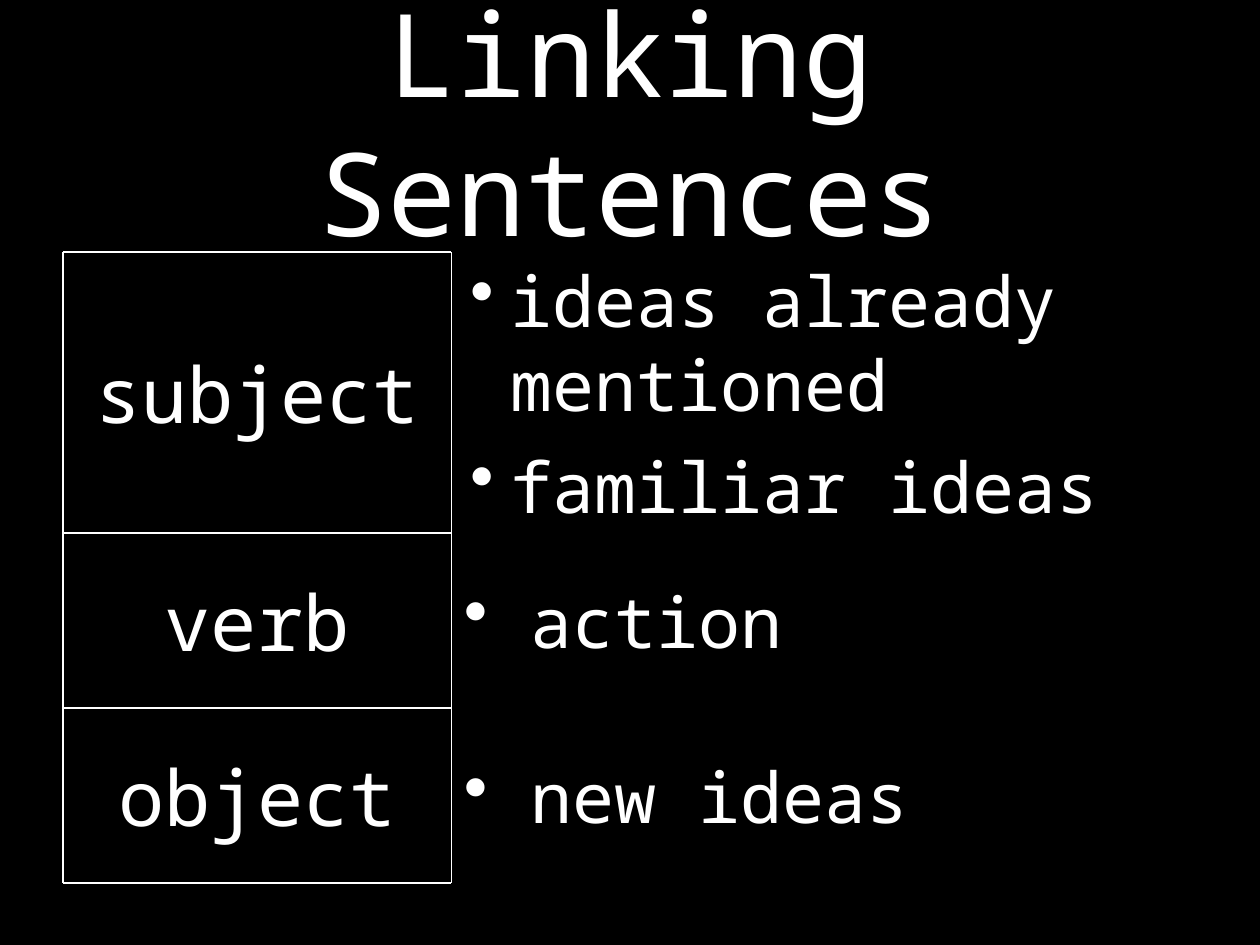
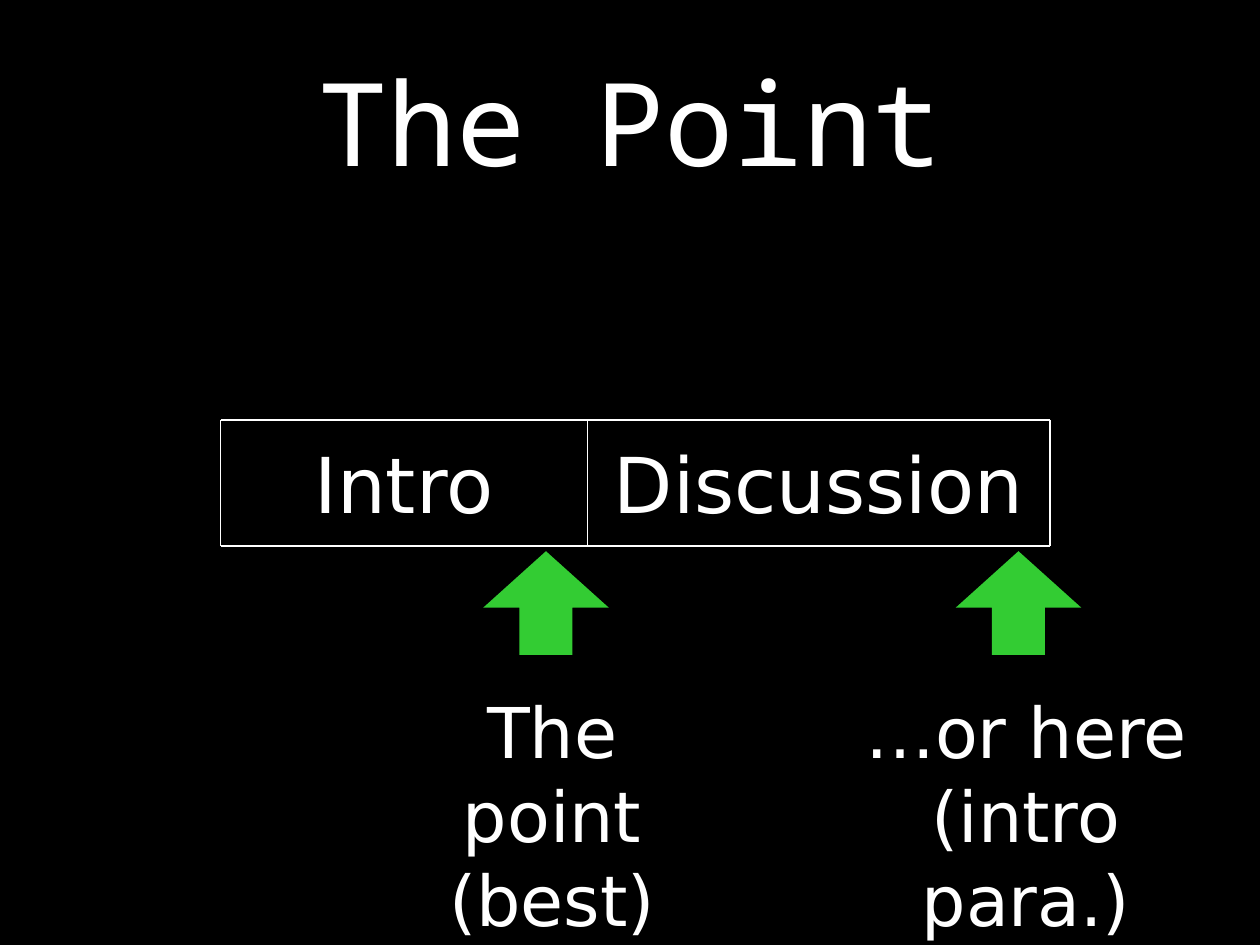
from dataclasses import dataclass
from itertools import pairwise

import pptx
import pptx.dml.color
import pptx.enum.shapes
import pptx.enum.text
import pptx.oxml
import pptx.oxml.ns
import pptx.util
from pptx.util import Pt

WHITE = pptx.dml.color.RGBColor(0xFF, 0xFF, 0xFF)
BLACK = pptx.dml.color.RGBColor(0x00, 0x00, 0x00)
GREEN = pptx.dml.color.RGBColor(0x33, 0xCC, 0x33)
MONO = "Noto Sans Mono"
SANS = "DejaVu Sans"
CENTER = pptx.enum.text.PP_ALIGN.CENTER
LEFT = pptx.enum.text.PP_ALIGN.LEFT
TOP = pptx.enum.text.MSO_ANCHOR.TOP
MIDDLE = pptx.enum.text.MSO_ANCHOR.MIDDLE
FRAME_FORMAT = {
    "word_wrap": True,
    "auto_size": pptx.enum.text.MSO_AUTO_SIZE.NONE,
    "margin_left": Pt(7.2),
    "margin_right": Pt(7.2),
    "margin_top": Pt(3.6),
    "margin_bottom": Pt(3.6),
}


@dataclass(frozen=True)
class Area:
    left: float
    top: float
    width: float
    height: float

    def lengths(self) -> list[pptx.util.Length]:
        return [Pt(v) for v in (self.left, self.top, self.width, self.height)]


@dataclass(frozen=True)
class TextStyle:
    font: str
    size: float
    space_before: float = 0
    align: int = CENTER
    anchor: int = MIDDLE
    bullet: bool = False
    indent: float = 0  # left margin of the text
    hanging: float = 0  # how far the bullet stands before the text


@dataclass(frozen=True)
class SentencePart:
    name: str
    ideas: tuple[str, ...]
    height: float
    style: TextStyle


@dataclass(frozen=True)
class PointPlace:
    arrow_left: float
    caption: Area
    lines: tuple[str, ...]


TITLE_AREA = Area(30, 24, 660, 90)
TITLE = TextStyle(MONO, 66)
PART_NAME = TextStyle(MONO, 44, 11)
IDEA = TextStyle(MONO, 40, 10, LEFT, bullet=True)
HANGING_IDEA = TextStyle(MONO, 40, 10, LEFT, bullet=True, indent=26.64, hanging=23.04)
SECTION = TextStyle(SANS, 44, 11)
CAPTION = TextStyle(SANS, 40, anchor=TOP)


def set_format(target: object, values: dict) -> None:
    for name, value in values.items():
        setattr(target, name, value)


def add_bullet(para: object, style: TextStyle) -> None:
    properties = para._p.get_or_add_pPr()
    properties.set("marL", str(Pt(style.indent)))
    properties.set("indent", str(-Pt(style.hanging)))
    bullet = pptx.oxml.ns.qn("a:buChar")
    properties.makeelement(bullet)
    properties.append(properties.makeelement(bullet, {"char": "•"}))


def write_text(box: object, lines: tuple[str, ...], style: TextStyle) -> None:
    frame = box.text_frame
    set_format(frame, FRAME_FORMAT | {"vertical_anchor": style.anchor})
    frame.text = "\n".join(lines)
    for para in frame.paragraphs:
        set_format(para, {"alignment": style.align, "space_before": Pt(style.space_before)})
        for span in para.runs:
            set_format(span.font, {"name": style.font, "size": Pt(style.size)})
            span.font.color.rgb = WHITE
        if style.bullet:
            add_bullet(para, style)


def add_text(page: object, area: Area, lines: tuple[str, ...], style: TextStyle) -> None:
    write_text(page.shapes.add_textbox(*area.lengths()), lines, style)


def add_line(page: object, x1: float, y1: float, x2: float, y2: float) -> None:
    line = page.shapes.add_connector(
        pptx.enum.shapes.MSO_CONNECTOR.STRAIGHT, Pt(x1), Pt(y1), Pt(x2), Pt(y2)
    )
    line.line.color.rgb = WHITE
    line.line.width = Pt(1)
    properties = line._element.spPr
    properties.append(properties.makeelement(pptx.oxml.ns.qn("a:effectLst")))


def add_grid(page: object, columns: list[float], rows: list[float]) -> None:
    for x in columns:
        add_line(page, x, rows[0], x, rows[-1])
    for y in rows:
        add_line(page, columns[0], y, columns[-1], y)


def add_up_arrow(page: object, area: Area) -> None:
    arrow = page.shapes.add_shape(pptx.enum.shapes.MSO_SHAPE.UP_ARROW, *area.lengths())
    arrow.shadow.inherit = False
    arrow.adjustments[0], arrow.adjustments[1] = 0.43, 0.5
    arrow.fill.solid()
    arrow.fill.fore_color.rgb = GREEN
    arrow.line.color.rgb = GREEN
    arrow.line.width = Pt(4.5)
    # Sharp outline corners
    outline = arrow.line._get_or_add_ln()
    outline.append(outline.makeelement(pptx.oxml.ns.qn("a:miter"), {"lim": "800000"}))


def add_page(deck: object, title: str) -> object:
    page = deck.slides.add_slide(deck.slide_layouts.get_by_name("Title Only"))
    heading = page.shapes.title
    names = ("left", "top", "width", "height")
    set_format(heading, dict(zip(names, TITLE_AREA.lengths())))
    write_text(heading, (title,), TITLE)
    return page


def build_linking_page(deck: object) -> None:
    page = add_page(deck, "Linking Sentences")
    parts = (
        SentencePart("subject", ("ideas already mentioned", "familiar ideas"), 160.5, HANGING_IDEA),
        SentencePart("verb", (" action",), 100, IDEA),
        SentencePart("object", (" new ideas",), 100, IDEA),
    )
    names_left, ideas_left, ideas_width = 36, 258, 432
    edges = [144]
    for part in parts:
        top = edges[-1]
        name_area = Area(names_left, top, ideas_left - names_left, part.height)
        add_text(page, name_area, (part.name,), PART_NAME)
        add_text(page, Area(ideas_left, top, ideas_width, part.height), part.ideas, part.style)
        edges.append(top + part.height)
    add_grid(page, [names_left, ideas_left], edges)


def build_point_page(deck: object) -> None:
    page = add_page(deck, "The Point")

    # Bar of sections
    columns = [126, 335.75, 600]
    top, bottom = 240, 312
    for name, (left, right) in zip(("Intro", "Discussion"), pairwise(columns)):
        add_text(page, Area(left, top, right - left, bottom - top), (name,), SECTION)
    add_grid(page, columns, [top, bottom])

    # Arrows with captions
    places = (
        PointPlace(282, Area(219.5, 390, 192, 104), ("The point", "(best)")),
        PointPlace(552, Area(468.5, 390, 235.5, 104), ("…or here", "(intro para.)")),
    )
    for place in places:
        add_up_arrow(page, Area(place.arrow_left, 318, 60, 54))
        add_text(page, place.caption, place.lines, CAPTION)


def main() -> None:
    deck = pptx.Presentation()
    set_format(deck, {"slide_width": Pt(720), "slide_height": Pt(540)})
    background = deck.slide_master.background.fill
    background.solid()
    background.fore_color.rgb = BLACK
    build_linking_page(deck)
    build_point_page(deck)
    deck.save("out.pptx")


if __name__ == "__main__":
    main()
